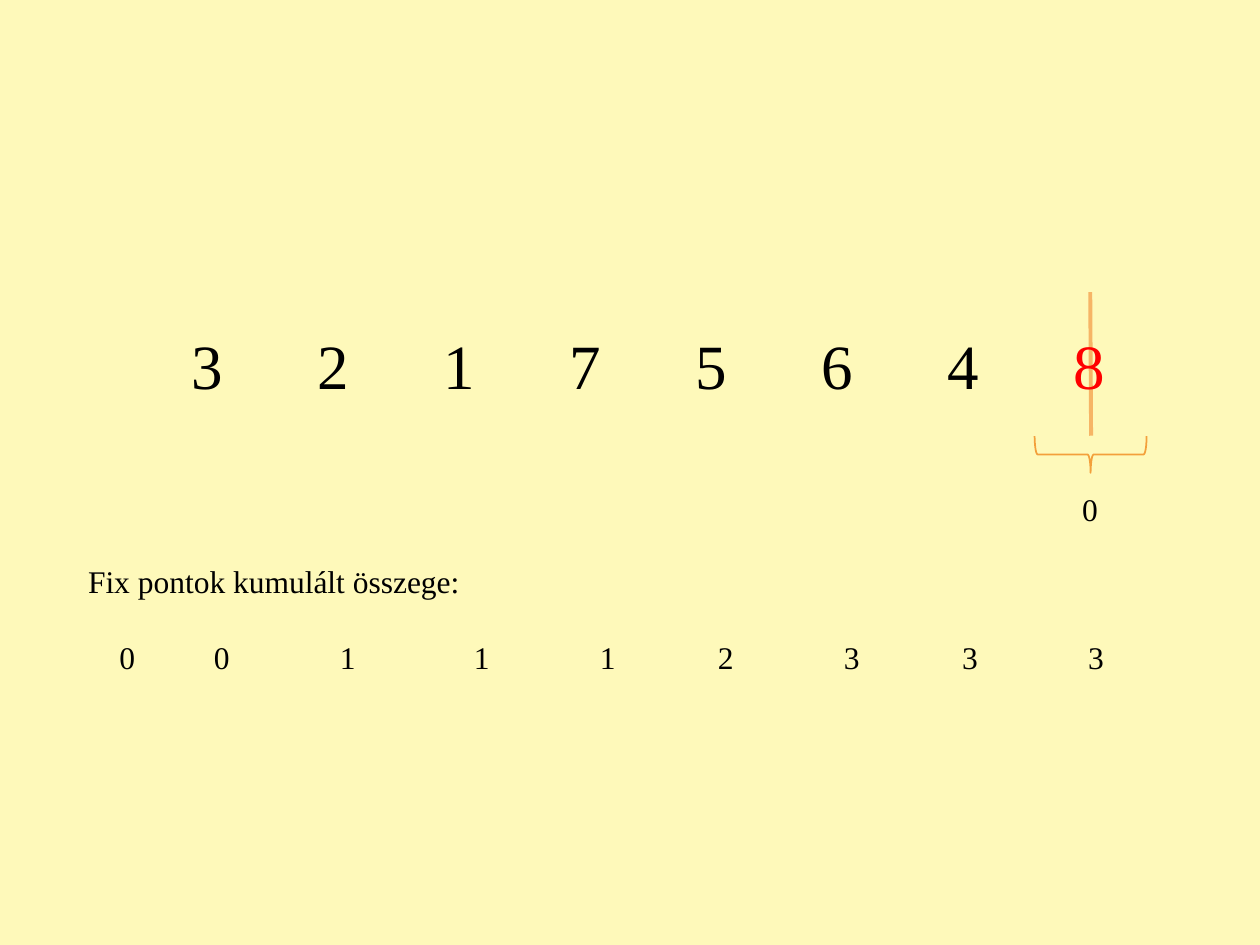
from lxml import etree
from pptx import Presentation
from pptx.dml.color import RGBColor
from pptx.enum.shapes import MSO_CONNECTOR, MSO_SHAPE
from pptx.enum.text import MSO_AUTO_SIZE
from pptx.oxml.ns import qn
from pptx.util import Pt

STRAIGHT = MSO_CONNECTOR.STRAIGHT
RIGHT_BRACE = MSO_SHAPE.RIGHT_BRACE
FIT_SHAPE = MSO_AUTO_SIZE.SHAPE_TO_FIT_TEXT

COLORS = {
    "background": "FEF9BA",
    "text": "000000",
    "highlight": "FF0000",
    "marker": "F6B566",
    "brace": "F3A03B",
}
FONT = "Times New Roman"
SEQUENCE = [3, 2, 1, 7, 5, 6, 4, 8]
SEQUENCE_PITCH = 72
CUMULATED = [0, 0, 1, 1, 1, 2, 3, 3, 3]
CUMULATED_STOPS = [18, 72, 144, 220.5, 292.5, 360, 432, 499.5, 571.5]


def color(name):
    return RGBColor.from_string(COLORS[name])


def format_run(run, size, color_name="text"):
    run.font.name = FONT
    run.font.size = Pt(size)
    run.font.color.rgb = color(color_name)


def set_tab_stops(paragraph, stops):
    properties = paragraph._p.get_or_add_pPr()
    tab_list = etree.SubElement(properties, qn("a:tabLst"))
    for stop in stops:
        etree.SubElement(tab_list, qn("a:tab"), pos=str(Pt(stop)), algn="l")


def add_text(slide, box, text, size, stops=()):
    """Add one line of text and return its paragraph."""
    shape = slide.shapes.add_textbox(*map(Pt, box))
    frame = shape.text_frame
    frame.text = text
    frame.word_wrap = True
    frame.auto_size = FIT_SHAPE
    paragraph = frame.paragraphs[0]
    if stops:
        set_tab_stops(paragraph, stops)
    format_run(paragraph.runs[0], size)
    return paragraph


def add_marker(slide, left, top, height):
    """Vertical line through the current element."""
    line = slide.shapes.add_connector(
        STRAIGHT, Pt(left), Pt(top), Pt(left + 0.5), Pt(top + height))
    line.line.color.rgb = color("marker")
    line.line.width = Pt(2.25)
    etree.SubElement(line._element.spPr, qn("a:effectLst"))


def add_sequence(slide, left, top, width, height):
    """Evenly spaced elements, the last one highlighted."""
    *others, last = SEQUENCE
    stops = [SEQUENCE_PITCH * i for i in range(1, len(SEQUENCE))]
    text = "".join(f"{number}\t" for number in others)
    paragraph = add_text(slide, (left, top, width, height), text, 36, stops)
    run = paragraph.add_run()
    run.text = str(last)
    format_run(run, 36, "highlight")


def add_brace(slide, left, top, width, height):
    """Downward brace with its count below; the box is as it shows on the slide."""
    # The shape is turned a quarter, so its own width and height swap
    brace = slide.shapes.add_shape(
        RIGHT_BRACE, Pt(left + (width - height) / 2),
        Pt(top + (height - width) / 2), Pt(height), Pt(width))
    brace.rotation = 90
    brace.shadow.inherit = False
    brace.fill.background()
    brace.line.color.rgb = color("brace")
    brace.line.width = Pt(1)
    add_text(slide, (left + width / 2 - 12, top + 27.4, 24, 29), "0", 18)


def add_cumulated_sum(slide, left, top, width):
    """Caption with the row of cumulated values below it."""
    add_text(slide, (left, top, 229, 29), "Fix pontok kumulált összege:", 18)
    values = "".join(f"\t{value}" for value in CUMULATED)
    add_text(slide, (left, top + 43.5, width, 29), values, 18, CUMULATED_STOPS)


def main():
    presentation = Presentation()
    presentation.slide_width = Pt(720)
    presentation.slide_height = Pt(540)
    slide = presentation.slides.add_slide(presentation.slide_layouts[6])
    slide.background.fill.solid()
    slide.background.fill.fore_color.rgb = color("background")

    add_marker(slide, 623, 167, 82)
    add_sequence(slide, 102.2, 183, 541.5, 51)
    add_brace(slide, 591.2, 249.2, 64, 21)
    add_cumulated_sum(slide, 43.2, 317.5, 623.5)
    presentation.save("out.pptx")


if __name__ == "__main__":
    main()
